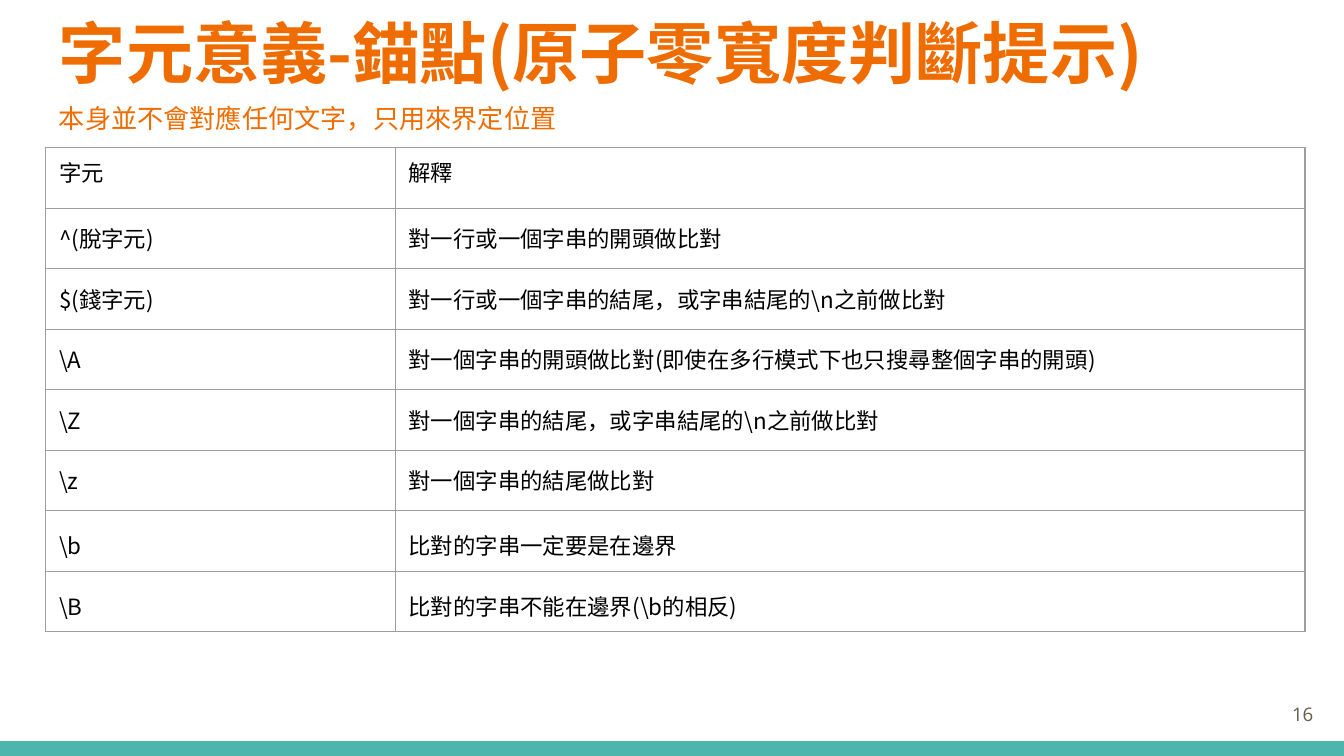
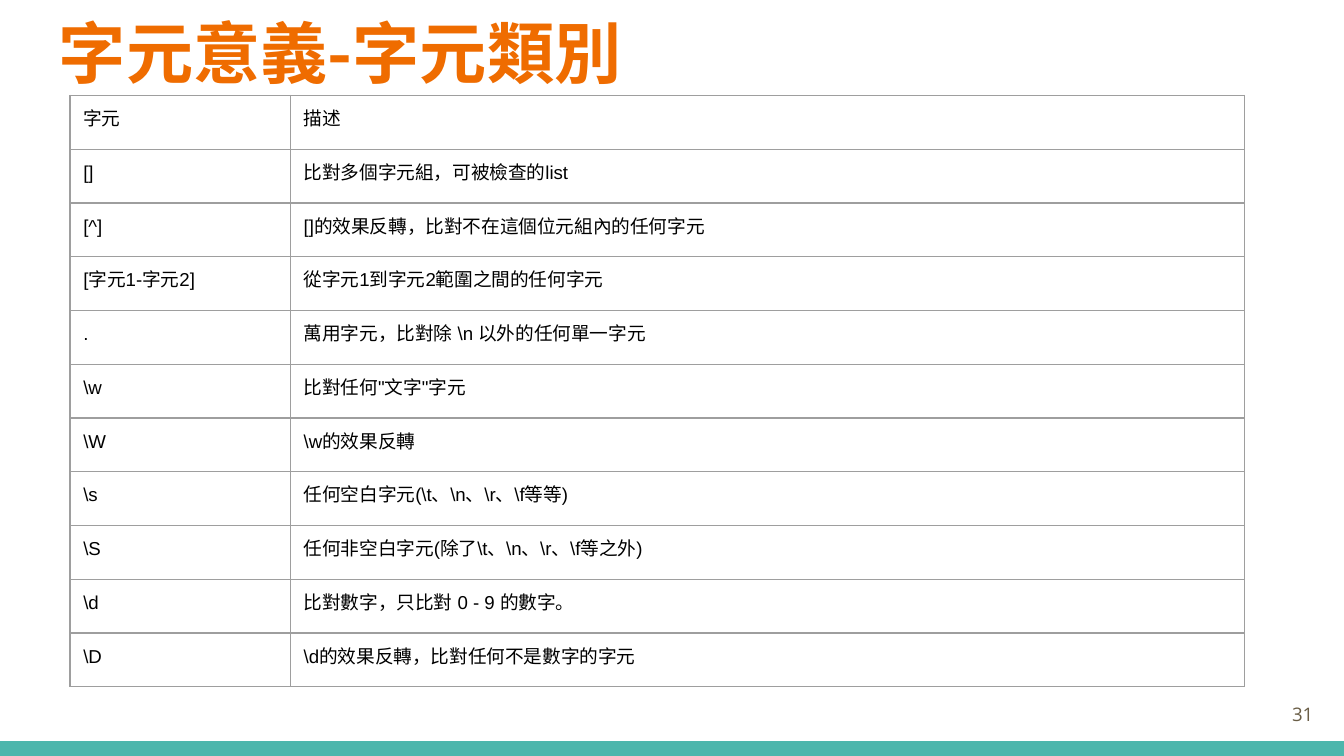
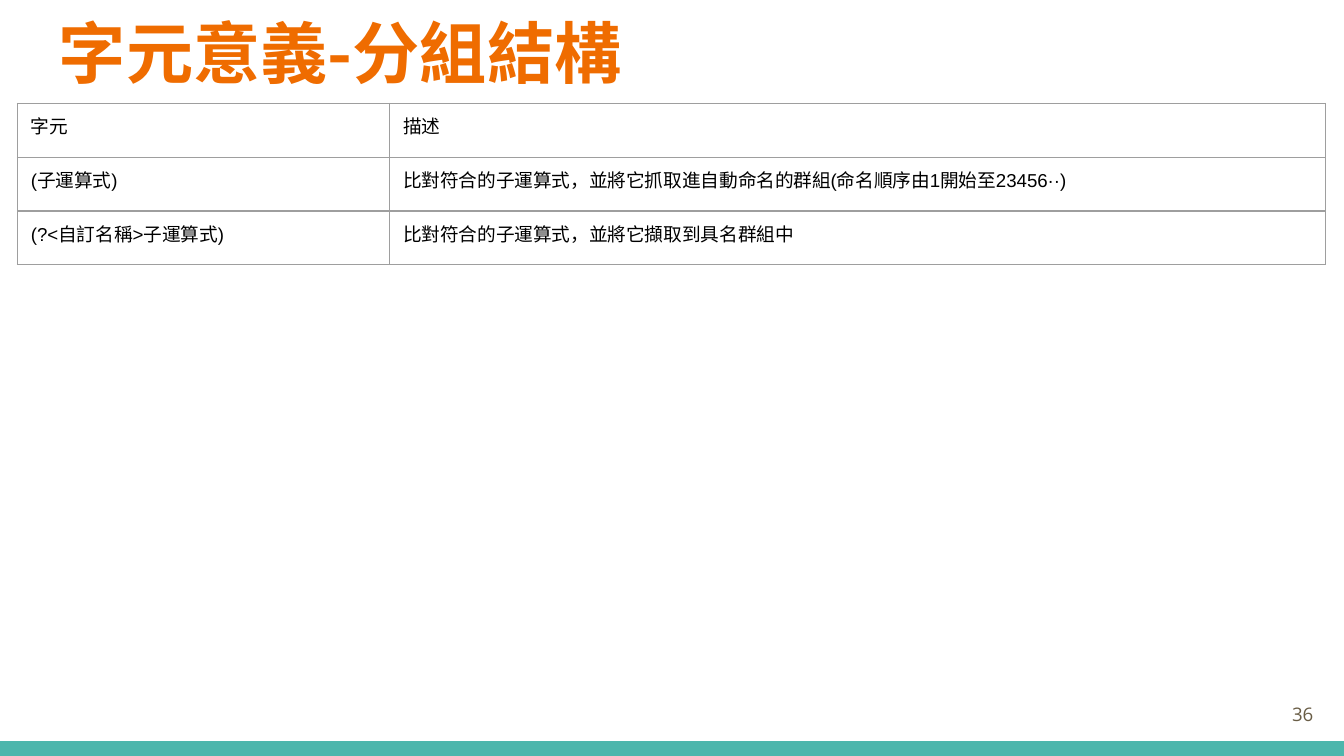
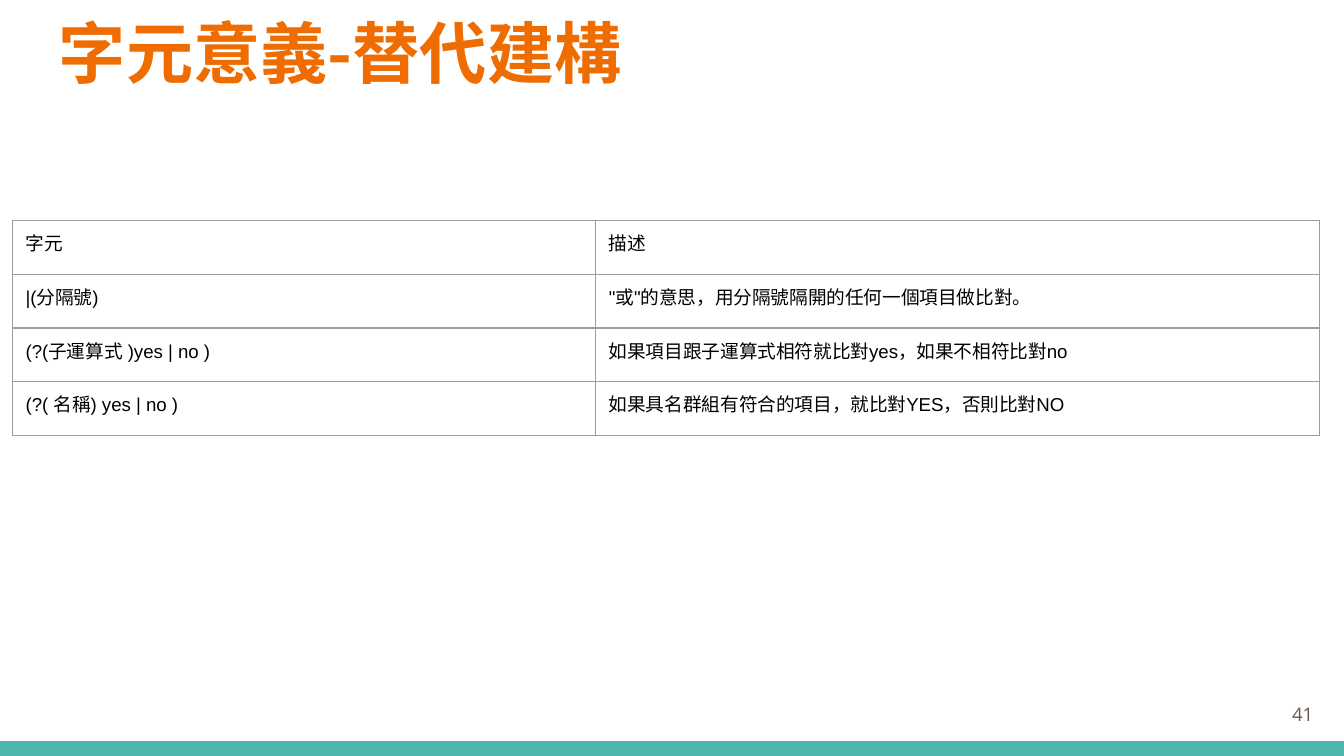
"""Build four slides of regular expression tables; lengths are hundredths of the slide width."""
from lxml.etree import SubElement
from pptx import Presentation
from pptx.dml.color import RGBColor
from pptx.enum.shapes import MSO_SHAPE
from pptx.enum.text import MSO_ANCHOR, PP_ALIGN
from pptx.oxml.ns import qn
from pptx.util import Inches, Pt

ORANGE = RGBColor(0xEF, 0x6C, 0x00)
TEAL = RGBColor(0x4D, 0xB6, 0xAC)
BROWN = RGBColor(0x69, 0x5D, 0x46)
GRAY = RGBColor(0x9E, 0x9E, 0x9E)
BLACK = RGBColor(0, 0, 0)
NOTO, ARIAL, OPEN = "Noto Sans CJK TC", "Arial", "Open Sans"

WIDE = Inches(10)
UNIT = WIDE // 100
HIGH = int(56.25 * UNIT)
PAD = UNIT
MARGIN = 3.4
BAND = 1.1
SIDES = ("left", "right", "top", "bottom")

HEAD = {"size": Pt(36), "bold": True, "face": NOTO, "color": ORANGE}
SUB = {"size": Pt(14), "face": NOTO, "color": ORANGE}
FOOT = {"size": Pt(10), "face": OPEN, "color": BROWN}
BIG = {"size": Pt(12), "face": NOTO, "color": BLACK}
SMALL = {"size": Pt(10), "face": ARIAL, "color": BLACK}

PAGES = [
    {
        "title": "字元意義-錨點(原子零寬度判斷提示)",
        "sub": "本身並不會對應任何文字，只用來界定位置",
        "page": "16", "at": (3.4, 11), "cols": (26, 67.7), "row": 4.5,
        "look": BIG, "loose": (r"\b", r"\B"),
        "cells": [
            ("字元", "解釋"),
            ("^(脫字元)", "對一行或一個字串的開頭做比對"),
            ("$(錢字元)", r"對一行或一個字串的結尾，或字串結尾的\n之前做比對"),
            (r"\A", "對一個字串的開頭做比對(即使在多行模式下也只搜尋整個字串的開頭)"),
            (r"\Z", r"對一個字串的結尾，或字串結尾的\n之前做比對"),
            (r"\z", "對一個字串的結尾做比對"),
            (r"\b", "比對的字串一定要是在邊界"),
            (r"\B", r"比對的字串不能在邊界(\b的相反)"),
        ],
    },
    {
        "title": "字元意義-字元類別",
        "page": "31", "at": (5.2, 7.1), "cols": (16.4, 71), "row": 4,
        "look": SMALL,
        "cells": [
            ("字元", "描述"),
            ("[]", "比對多個字元組，可被檢查的list"),
            ("[^]", "[]的效果反轉，比對不在這個位元組內的任何字元"),
            ("[字元1-字元2]", "從字元1到字元2範圍之間的任何字元"),
            (".", r"萬用字元，比對除 \n 以外的任何單一字元"),
            (r"\w", '比對任何"文字"字元'),
            (r"\W", r"\w的效果反轉"),
            (r"\s", r"任何空白字元(\t、\n、\r、\f等等)"),
            (r"\S", r"任何非空白字元(除了\t、\n、\r、\f等之外)"),
            (r"\d", "比對數字，只比對 0 - 9 的數字。"),
            (r"\D", r"\d的效果反轉，比對任何不是數字的字元"),
        ],
    },
    {
        "title": "字元意義-分組結構",
        "page": "36", "at": (1.3, 7.7), "cols": (27.7, 69.6), "row": 4,
        "look": SMALL,
        "cells": [
            ("字元", "描述"),
            ("(子運算式)", "比對符合的子運算式，並將它抓取進自動命名的群組(命名順序由1開始至23456··)"),
            ("(?<自訂名稱>子運算式)", "比對符合的子運算式，並將它擷取到具名群組中"),
        ],
    },
    {
        "title": "字元意義-替代建構",
        "page": "41", "at": (0.9, 16.4), "cols": (43.4, 53.9), "row": 4,
        "look": SMALL,
        "cells": [
            ("字元", "描述"),
            ("|(分隔號)", '"或"的意思，用分隔號隔開的任何一個項目做比對。'),
            ("(?(子運算式 )yes | no )", "如果項目跟子運算式相符就比對yes，如果不相符比對no"),
            ("(?( 名稱) yes | no )", "如果具名群組有符合的項目，就比對YES，否則比對NO"),
        ],
    },
]


def write(frame, text, look):
    """Put one styled run in a text frame and return its paragraph."""
    para = frame.paragraphs[0]
    run = para.add_run()
    run.text = text
    for key, value in look.items():
        if key == "color":
            run.font.color.rgb = value
        elif key == "face":
            run.font.name = value
            SubElement(run.font._element, qn("a:ea"), typeface=value)
        else:
            setattr(run.font, key, value)
    return para


def label(slide, spot, text, look, anchor):
    """Add a padded text box and return its paragraph."""
    frame = slide.shapes.add_textbox(*(int(n * UNIT) for n in spot)).text_frame
    frame.word_wrap = True
    frame.vertical_anchor = anchor
    for side in SIDES:
        setattr(frame, f"margin_{side}", PAD)
    return write(frame, text, look)


deck = Presentation()
deck.slide_width, deck.slide_height = WIDE, HIGH

for page in PAGES:
    slide = deck.slides.add_slide(deck.slide_layouts[6])
    thick = int(BAND * UNIT)
    band = slide.shapes.add_shape(MSO_SHAPE.RECTANGLE, 0, HIGH - thick, WIDE, thick)
    band.shadow.inherit = False
    band.fill.solid()
    band.fill.fore_color.rgb = TEAL
    band.line.fill.background()

    span = 100 - 2 * MARGIN
    label(slide, (MARGIN, 0, span, 7.7), page["title"], HEAD, MSO_ANCHOR.MIDDLE)
    if "sub" in page:
        label(slide, (MARGIN, 6.6, span, 3.8), page["sub"], SUB, MSO_ANCHOR.TOP)

    cells, cols = page["cells"], page["cols"]
    left, top = page["at"]
    size = (left, top, sum(cols), page["row"] * len(cells))
    grid = slide.shapes.add_table(len(cells), len(cols), *(int(n * UNIT) for n in size)).table
    grid.first_row = grid.horz_banding = False
    for col, width in zip(grid.columns, cols):
        col.width = int(width * UNIT)
    for r, texts in enumerate(cells):
        grid.rows[r].height = int(page["row"] * UNIT)
        for c, text in enumerate(texts):
            cell = grid.cell(r, c)
            look = page["look"] if r else {**page["look"], "face": ARIAL}
            para = write(cell.text_frame, text, look)
            if texts[0] in page.get("loose", ()):
                para.line_spacing = 1.15
            props = cell._tc.get_or_add_tcPr()
            for side in SIDES:
                setattr(cell, f"margin_{side}", PAD)
                edge = SubElement(props, qn(f"a:ln{side[0].upper()}"), w=str(Pt(0.75)))
                fill = SubElement(edge, qn("a:solidFill"))
                SubElement(fill, qn("a:srgbClr"), val=str(GRAY))
            cell.fill.background()

    foot = label(slide, (92.7, 51, 6, 4.3), page["page"], FOOT, MSO_ANCHOR.MIDDLE)
    foot.alignment = PP_ALIGN.RIGHT

deck.save("out.pptx")
